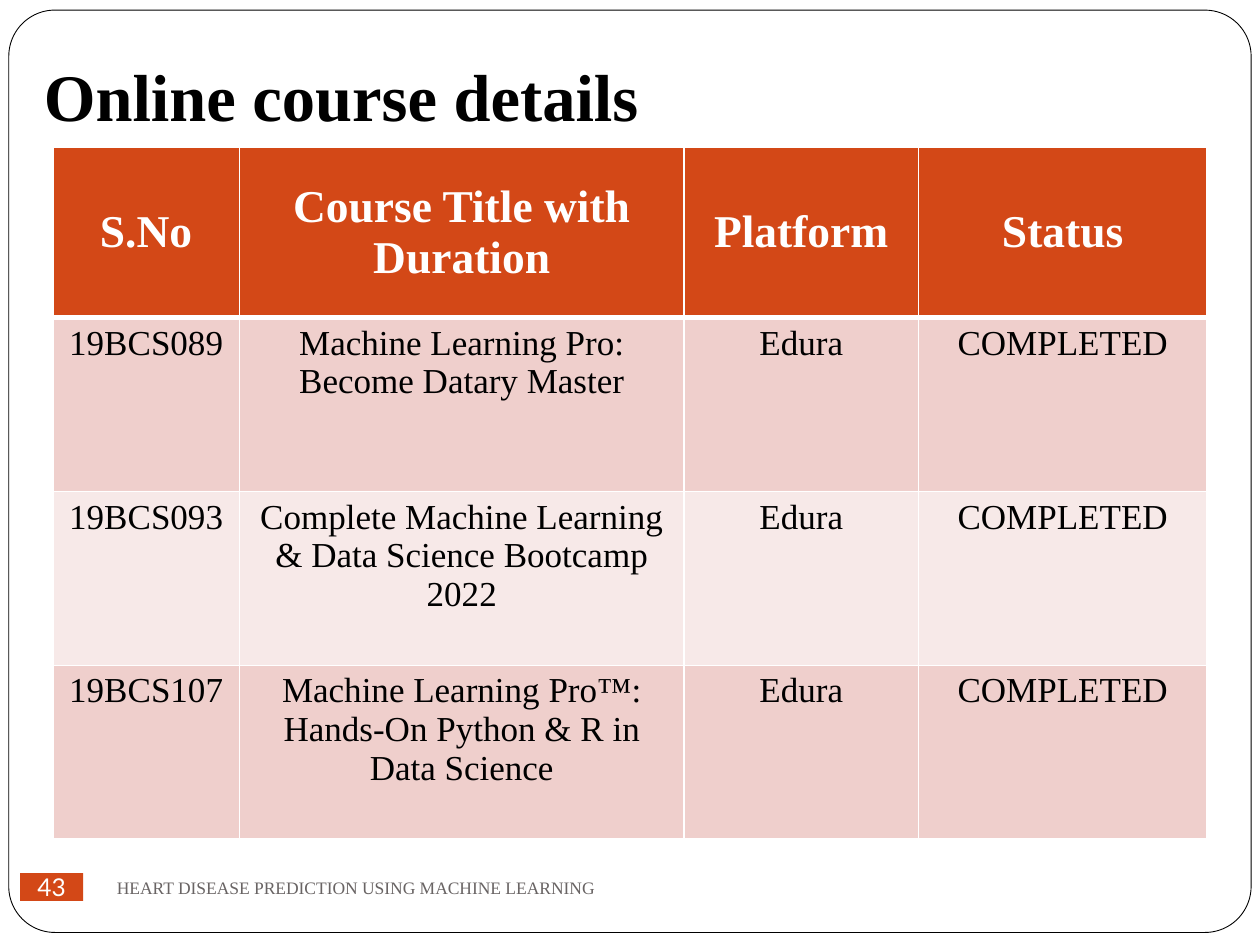
from lxml import etree
from pptx import Presentation
from pptx.dml.color import RGBColor
from pptx.enum.shapes import MSO_SHAPE
from pptx.enum.text import MSO_ANCHOR, PP_ALIGN
from pptx.oxml.ns import qn
from pptx.util import Inches, Pt

ROUNDED, RECTANGLE = MSO_SHAPE.ROUNDED_RECTANGLE, MSO_SHAPE.RECTANGLE
TOP, MIDDLE, BOTTOM = MSO_ANCHOR.TOP, MSO_ANCHOR.MIDDLE, MSO_ANCHOR.BOTTOM
LEFT, CENTER = PP_ALIGN.LEFT, PP_ALIGN.CENTER

BLACK = RGBColor(0x00, 0x00, 0x00)
WHITE = RGBColor(0xFF, 0xFF, 0xFF)
ORANGE = RGBColor(0xD3, 0x48, 0x17)
GREY = RGBColor(0x69, 0x64, 0x64)
BANDS = (RGBColor(0xEF, 0xCF, 0xCC), RGBColor(0xF7, 0xE9, 0xE8))

SLIDE_WIDTH, SLIDE_HEIGHT = Inches(10), Inches(7.5)
SERIF = "Times New Roman"

TITLE = {"size": Pt(38), "name": SERIF, "bold": True, "color": BLACK}
NUMBER = {"size": Pt(14), "name": "Lato", "bold": False, "color": WHITE}
FOOTER = {"size": Pt(10), "name": SERIF, "bold": False, "color": GREY}
HEADER = {"size": Pt(26), "name": SERIF, "bold": True, "color": WHITE}
BODY = {"size": Pt(20), "name": SERIF, "bold": False, "color": BLACK}
TITLE_FRAME = {"word_wrap": True, "vertical_anchor": BOTTOM, "margin_bottom": Inches(0.1)}
FOOTER_FRAME = {"word_wrap": True, "vertical_anchor": MIDDLE}
NUMBER_FRAME = {"word_wrap": False, "vertical_anchor": MIDDLE, "margin_left": 0,
                "margin_right": 0, "margin_top": 0, "margin_bottom": 0}

COLUMN_SHARES = (14.8, 35.3, 18.6, 22.9)
ROW_SHARES = (18, 18.4, 18.4, 18.4)
HEADINGS = ("S.No", "Course Title with Duration", "Platform", "Status")
COURSES = (
    ("19BCS089", "Machine Learning Pro:\nBecome Datary Master"),
    ("19BCS093", "Complete Machine Learning & Data Science Bootcamp 2022"),
    ("19BCS107", "Machine Learning Pro™: Hands-On Python & R in Data Science"),
)


def across(percent):
    return round(SLIDE_WIDTH * percent / 100)


def down(percent):
    return round(SLIDE_HEIGHT * percent / 100)


def area(left, top, width, height):
    return across(left), down(top), across(width), down(height)


def set_attributes(target, values):
    for name, value in values.items():
        if name == "color":
            target.color.rgb = value
        else:
            setattr(target, name, value)


def write_text(frame, text, font, alignment):
    frame.text = text
    for paragraph in frame.paragraphs:
        paragraph.alignment = alignment
        for run in paragraph.runs:
            set_attributes(run.font, font)


def add_text(slide, box, text, font, frame_format):
    frame = slide.shapes.add_textbox(*area(*box)).text_frame
    set_attributes(frame, frame_format)
    write_text(frame, text, font, LEFT)


def add_box(slide, kind, box, color):
    shape = slide.shapes.add_shape(kind, *area(*box))
    shape.shadow.inherit = False
    shape.fill.solid()
    shape.fill.fore_color.rgb = color
    shape.line.fill.background()
    return shape


def add_frame(slide):
    shape = add_box(slide, ROUNDED, (0.7, 1.07, 98.6, 97.6), WHITE)
    shape.adjustments[0] = 0.05
    shape.line.color.rgb = BLACK
    shape.line.width = Pt(0.5)


def add_page_number(slide, text):
    shape = add_box(slide, RECTANGLE, (1.6, 92.4, 5, 2.93), ORANGE)
    set_attributes(shape.text_frame, NUMBER_FRAME)
    write_text(shape.text_frame, text, NUMBER, CENTER)


def set_borders(cell, widths):
    properties = cell._tc.get_or_add_tcPr()
    for side, width in widths.items():
        line = etree.SubElement(properties, qn(f"a:ln{side}"), w=str(Pt(width)))
        fill = etree.SubElement(line, qn("a:solidFill"))
        etree.SubElement(fill, qn("a:srgbClr"), val=str(WHITE))


def fill_cell(cell, text, font, anchor, color, borders):
    set_borders(cell, borders)
    cell.fill.solid()
    cell.fill.fore_color.rgb = color
    cell.vertical_anchor = anchor
    write_text(cell.text_frame, text, font, CENTER)


def add_course_table(slide):
    rows = [HEADINGS] + [(*course, "Edura", "COMPLETED") for course in COURSES]
    box = area(4.2, 15.6, sum(COLUMN_SHARES), sum(ROW_SHARES))
    table = slide.shapes.add_table(len(rows), len(HEADINGS), *box).table
    for column, share in zip(table.columns, COLUMN_SHARES):
        column.width = across(share)
    for row, share in zip(table.rows, ROW_SHARES):
        row.height = down(share)
    for row_index, texts in enumerate(rows):
        is_header = row_index == 0
        font, anchor = (HEADER, MIDDLE) if is_header else (BODY, TOP)
        color = ORANGE if is_header else BANDS[(row_index - 1) % 2]
        borders = {"L": 1, "R": 1, "T": 3 if row_index == 1 else 1,
                   "B": 3 if is_header else 1}
        for column_index, text in enumerate(texts):
            fill_cell(table.cell(row_index, column_index), text, font, anchor,
                      color, borders)


def main():
    presentation = Presentation()
    presentation.slide_width = SLIDE_WIDTH
    presentation.slide_height = SLIDE_HEIGHT
    slide = presentation.slides.add_slide(presentation.slide_layouts[6])
    add_frame(slide)
    add_text(slide, (2.5, 3.33, 85, 12.27), "Online course details", TITLE, TITLE_FRAME)
    add_page_number(slide, "43")
    add_course_table(slide)
    add_text(slide, (8.3, 90.53, 83.3, 6.67),
             "HEART DISEASE PREDICTION USING MACHINE LEARNING", FOOTER, FOOTER_FRAME)
    presentation.save("out.pptx")


if __name__ == "__main__":
    main()
